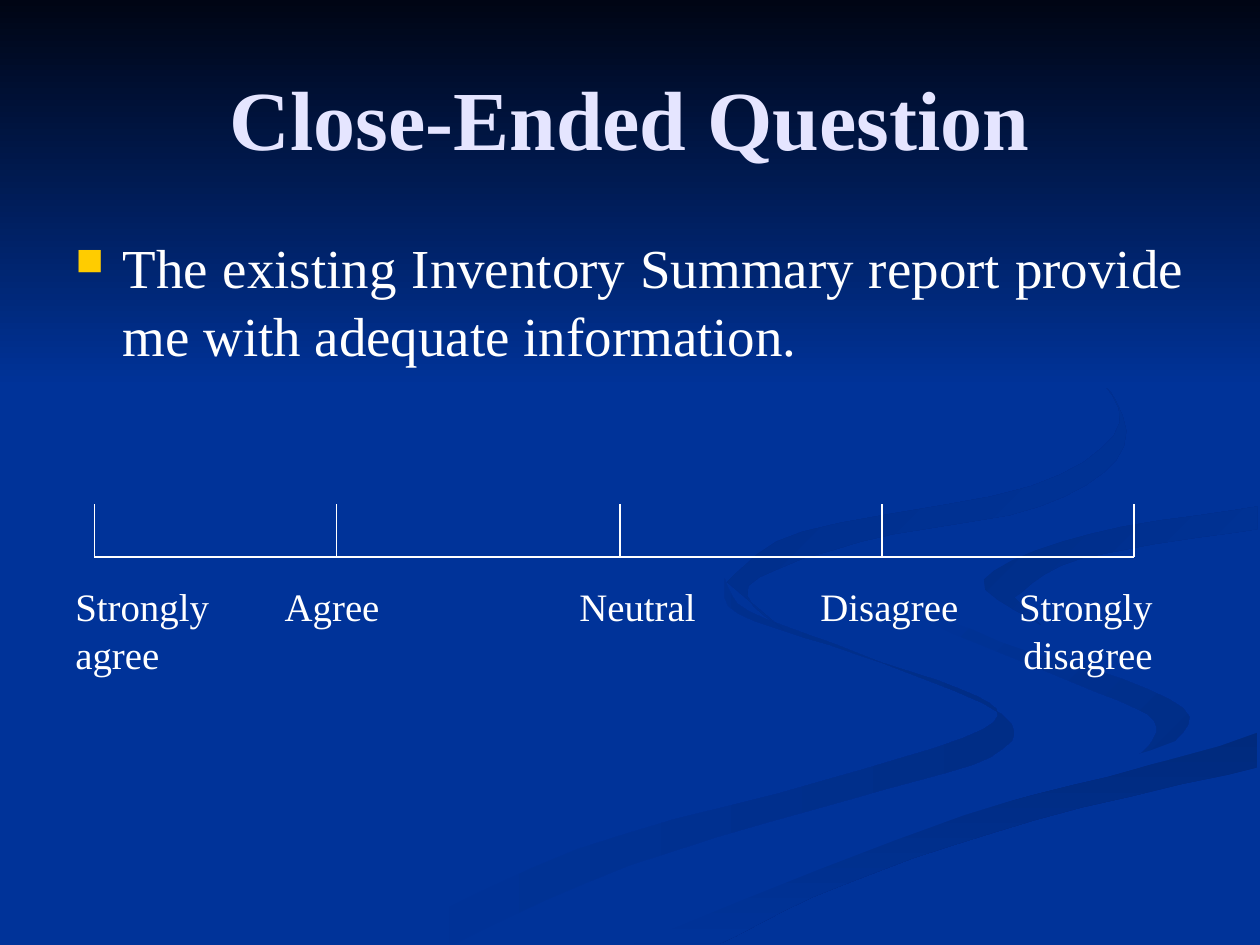
"""Build the slide on close-ended questions with its five-step answer scale."""
from dataclasses import dataclass

from lxml.etree import SubElement
from pptx import Presentation
from pptx.dml.color import RGBColor
from pptx.enum.shapes import MSO_CONNECTOR, MSO_SHAPE
from pptx.enum.text import MSO_ANCHOR, PP_ALIGN
from pptx.oxml.ns import qn
from pptx.shapes.autoshape import Shape
from pptx.slide import Slide
from pptx.text.text import _Paragraph
from pptx.util import Cm, Pt

BLUE = RGBColor(0x00, 0x33, 0x99)
NIGHT = RGBColor(0x00, 0x05, 0x14)
SHADE = RGBColor(0x00, 0x2D, 0x86)
DEEP_SHADE = RGBColor(0x00, 0x2A, 0x7D)
LAVENDER = RGBColor(0xE5, 0xE5, 0xFF)
WHITE = RGBColor(0xFF, 0xFF, 0xFF)
GOLD = RGBColor(0xFF, 0xCC, 0x00)
FONT = "Times New Roman"
HUNDREDTH_INCH = Cm(0.0254)
CURVE_STEPS = 5
SCALE_LEFT, SCALE_RIGHT, SCALE_TOP, SCALE_BASE = 1.9, 22.86, 10.16, 11.23
Points = tuple[tuple[float, float], ...]


@dataclass(frozen=True)
class Ribbon:
    """Two smooth sides in hundredths of an inch, with a gradient between colours."""
    start: RGBColor
    end: RGBColor
    angle: int
    there: Points
    back: Points


@dataclass(frozen=True)
class Step:
    """One answer on the scale: its tick and its label, in centimetres."""
    text: str
    tick: float
    left: float
    align: PP_ALIGN = PP_ALIGN.LEFT


@dataclass(frozen=True)
class Style:
    """The look of a text block."""
    size: float
    color: RGBColor = WHITE
    bold: bool = False
    align: PP_ALIGN = PP_ALIGN.LEFT
    anchor: MSO_ANCHOR = MSO_ANCHOR.TOP
    spacing: float = 1.04
    bullet: bool = False


RIBBONS = (
    Ribbon(BLUE, SHADE, 0,
           ((575, 459), (586, 487), (679, 519), (776, 553), (780, 579), (652, 620), (458, 674), (300, 749)),
           ((361, 749), (499, 687), (676, 634), (786, 601), (795, 567), (682, 519), (594, 485), (575, 459))),
    Ribbon(BLUE, SHADE, 45,
           ((724, 464), (739, 494), (838, 536), (911, 567), (914, 589), (894, 605)),
           ((932, 589), (939, 562), (850, 524), (745, 490), (724, 464))),
    Ribbon(DEEP_SHADE, BLUE, 90,
           ((503, 749), (599, 706), (764, 647), (903, 610), (998, 581)),
           ((998, 609), (821, 651), (670, 702), (571, 749))),
    Ribbon(BLUE, BLUE, 0,
           ((999, 387), (808, 417), (725, 464), (793, 509), (920, 547), (936, 587), (743, 643), (477, 749)),
           ((503, 749), (765, 647), (999, 581), (999, 538), (832, 498), (782, 460), (865, 427), (999, 402))),
    Ribbon(SHADE, BLUE, 45,
           ((998, 402), (865, 424), (781, 460), (826, 496)),
           ((805, 474), (859, 443), (998, 420))),
    Ribbon(SHADE, BLUE, 45,
           ((762, 233), (864, 291), (892, 354), (825, 402), (683, 430), (594, 465), (622, 500)),
           ((577, 462), (637, 422), (818, 386), (889, 335), (846, 279), (762, 233))),
)
STEPS = (
    Step("Strongly\nagree", SCALE_LEFT, 1.52),
    Step("Agree", 6.78, 5.74),
    Step("Neutral", 12.5, 11.68),
    Step("Disagree", 17.78, 16.54),
    Step("Strongly\ndisagree", SCALE_RIGHT, 19.64, PP_ALIGN.RIGHT),
)


def smooth(side: Points) -> list[tuple[float, float]]:
    """Return points on a Catmull-Rom curve through one side."""
    padded = (side[0], *side, side[-1])
    curve = []
    for before, first, second, after in zip(padded, padded[1:], padded[2:], padded[3:]):
        for count in range(CURVE_STEPS):
            t = count / CURVE_STEPS
            curve.append(tuple(
                b + t / 2 * (c - a + t * (2 * a - 5 * b + 4 * c - d + t * (3 * (b - c) + d - a)))
                for a, b, c, d in zip(before, first, second, after)))
    return [*curve, side[-1]]


def fill_gradient(shape: Shape, start: RGBColor, end: RGBColor, angle: int) -> None:
    """Fill a shape with two colours at a clockwise angle, without an outline."""
    shape.shadow.inherit = False
    shape.line.fill.background()
    shape.fill.gradient()
    shape.fill.gradient_angle = 360 - angle
    for stop, color, position in zip(shape.fill.gradient_stops, (start, end), (0, 1)):
        stop.color.rgb = color
        stop.position = position


def draw_ribbon(page: Slide, ribbon: Ribbon) -> None:
    """Draw one ribbon of the background."""
    outline = smooth(ribbon.there) + smooth(ribbon.back)
    builder = page.shapes.build_freeform(*outline[0], scale=HUNDREDTH_INCH)
    builder.add_line_segments(outline[1:], close=True)
    fill_gradient(builder.convert_to_shape(), ribbon.start, ribbon.end, ribbon.angle)


def add_bullet(para: _Paragraph) -> None:
    """Give a paragraph a small gold square and a hanging indent."""
    properties = para._p.get_or_add_pPr()
    properties.set("marL", str(Cm(0.95)))
    properties.set("indent", str(-Cm(0.95)))
    color = SubElement(properties, qn("a:buClr"))
    SubElement(color, qn("a:srgbClr"), val=str(GOLD))
    SubElement(properties, qn("a:buSzPct"), val="70000")
    SubElement(properties, qn("a:buChar"), char="■")


def draw_text(page: Slide, text: str, left: float, top: float, width: float,
              height: float, style: Style) -> None:
    """Place a wrapped text block without margins, measured in centimetres."""
    box = page.shapes.add_textbox(Cm(left), Cm(top), Cm(width), Cm(height))
    frame = box.text_frame
    frame.word_wrap = True
    frame.vertical_anchor = style.anchor
    frame.margin_left = frame.margin_right = frame.margin_top = frame.margin_bottom = 0
    frame.text = text
    for para in frame.paragraphs:
        para.alignment = style.align
        para.line_spacing = style.spacing
        if style.bullet:
            add_bullet(para)
        para.font.name = FONT
        para.font.size = Pt(style.size)
        para.font.bold = style.bold
        para.font.color.rgb = style.color


def draw_line(page: Slide, left: float, top: float, right: float, bottom: float) -> None:
    """Draw a thin white line, measured in centimetres."""
    line = page.shapes.add_connector(
        MSO_CONNECTOR.STRAIGHT, Cm(left), Cm(top), Cm(right), Cm(bottom))
    line.line.color.rgb = WHITE
    line.line.width = Pt(0.75)
    SubElement(line._element.spPr, qn("a:effectLst"))


def main() -> None:
    """Build and save the deck."""
    deck = Presentation()
    deck.slide_width, deck.slide_height = Cm(25.4), Cm(19.05)
    page = deck.slides.add_slide(deck.slide_layouts[6])
    page.background.fill.solid()
    page.background.fill.fore_color.rgb = BLUE
    for ribbon in RIBBONS:
        draw_ribbon(page, ribbon)
    sky = page.shapes.add_shape(MSO_SHAPE.RECTANGLE, 0, 0, deck.slide_width, Cm(7.82))
    fill_gradient(sky, NIGHT, BLUE, 90)
    draw_text(page, "Close-Ended Question", 1.52, 0.76, 22.36, 3.18,
              Style(48, LAVENDER, True, PP_ALIGN.CENTER, MSO_ANCHOR.MIDDLE, 1))
    draw_text(page, "The existing Inventory Summary report provide me with adequate information.",
              1.52, 4.65, 22.36, 3, Style(31.4, align=PP_ALIGN.JUSTIFY, bullet=True))
    draw_line(page, SCALE_LEFT, SCALE_BASE, SCALE_RIGHT, SCALE_BASE)
    for step in STEPS:
        draw_line(page, step.tick, SCALE_BASE, step.tick, SCALE_TOP)
        draw_text(page, step.text, step.left, 11.71, 3.6, 2, Style(22.2, align=step.align))
    deck.save("out.pptx")


if __name__ == "__main__":
    main()
